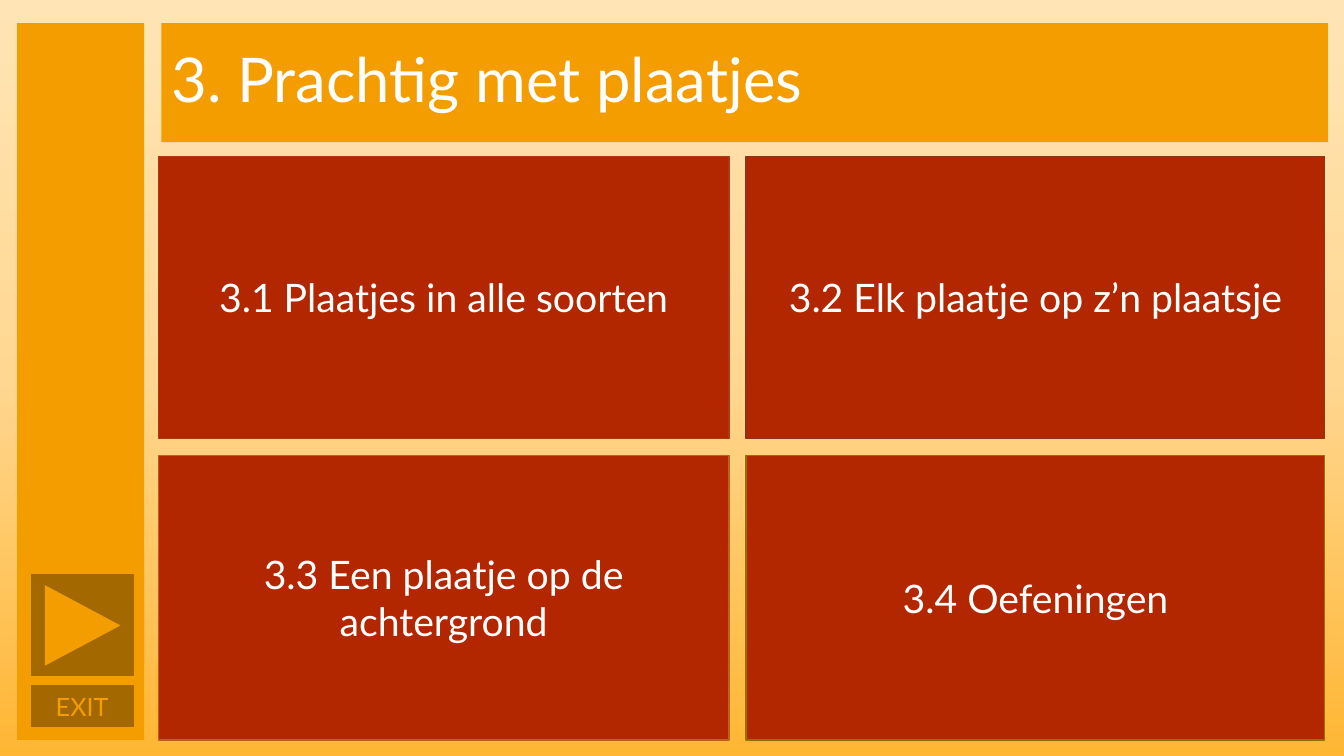
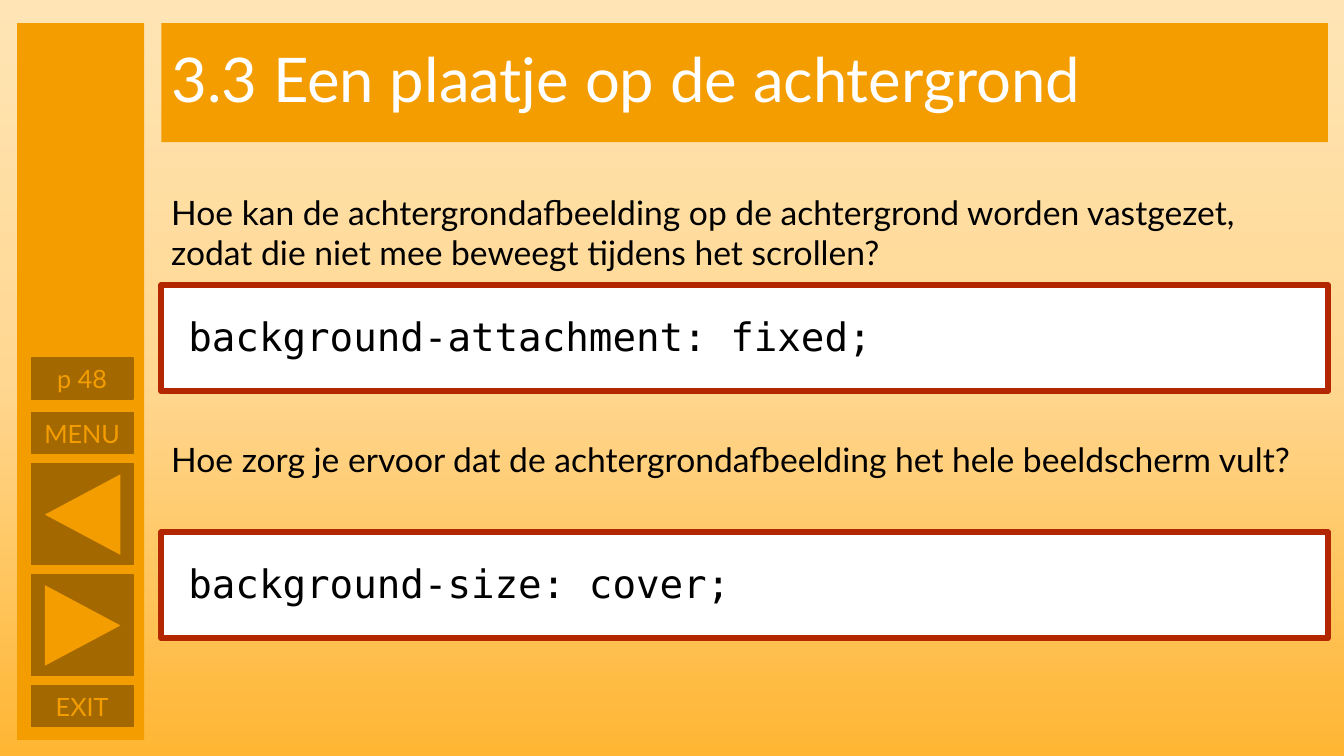
from copy import deepcopy
from itertools import product

from pptx import Presentation
from pptx import util as u
from pptx.dml.color import RGBColor
from pptx.enum import shapes, text

SANS, MONO = "Lato", "DejaVu Sans Mono"
ORANGE, BROWN, RED = "F49D00", "A36900", "B22600"
WHITE, BLACK = "FFFFFF", "000000"
BACKDROP = [(0, "FFE5B5"), (0.5, "FFD791"), (1, "FFB633")]

TOP, BOTTOM = 0.23, 7.34
BODY_X, BODY_W = 1.6, 11.57
NAV_X, NAV_W, NAV_LABEL_H = 0.31, 1.01, 0.41
NEXT_Y, NAV_PITCH = 5.7, 1.1
TILE_COLS = [(1.57, 5.66), (7.4, 5.74)]
TILE_ROWS = [(1.55, 2.8), (4.52, 2.82)]


def rgb(hex_color):
    return RGBColor.from_string(hex_color)


def inches(*lengths):
    return [u.Inches(length) for length in lengths]


def write(tf, words, size, color, font=SANS, align=text.PP_ALIGN.LEFT):
    tf.word_wrap = True
    p = tf.paragraphs[0]
    p.alignment = align
    r = p.add_run()
    r.text = words
    r.font.size = u.Pt(size)
    r.font.name = font
    r.font.color.rgb = rgb(color)
    return p


def add_box(s, at, fill, line=None, weight=1, kind=shapes.MSO_SHAPE.RECTANGLE):
    sp = s.shapes.add_shape(kind, *inches(*at))
    sp.shadow.inherit = False
    sp.fill.solid()
    sp.fill.fore_color.rgb = rgb(fill)
    if line:
        sp.line.color.rgb = rgb(line)
        sp.line.width = u.Pt(weight)
    else:
        sp.line.fill.background()
    return sp


def add_label_box(s, at, words, size, color, fill, line):
    tf = add_box(s, at, fill, line).text_frame
    tf.vertical_anchor = text.MSO_ANCHOR.MIDDLE
    write(tf, words, size, color, align=text.PP_ALIGN.CENTER)


def add_text(s, at, words, size, font=SANS):
    tf = s.shapes.add_textbox(*inches(*at)).text_frame
    write(tf, words, size, BLACK, font)
    tf.auto_size = text.MSO_AUTO_SIZE.SHAPE_TO_FIT_TEXT


def add_nav_label(s, y, words):
    add_label_box(s, (NAV_X, y, NAV_W, NAV_LABEL_H), words, 18, ORANGE, BROWN, BROWN)


def add_nav_arrow(s, y, rotation):
    add_box(s, (NAV_X, y, NAV_W, 1), BROWN, BROWN)
    arrow = add_box(s, (NAV_X + 0.11, y + 0.13, 0.8, 0.75), ORANGE,
                    kind=shapes.MSO_SHAPE.ISOSCELES_TRIANGLE)
    arrow.rotation = rotation


def add_question(s, y, question, answer):
    add_text(s, (BODY_X, y, BODY_W, 0.91), question, 24)
    answer_y = y + 0.98
    add_box(s, (BODY_X, answer_y, BODY_W, 1.05), WHITE, RED, 4.5)
    add_text(s, (BODY_X + 0.17, answer_y + 0.22, 11.23, 0.57), answer, 28, MONO)


def set_backdrop(master):
    fill = master.background.fill
    fill.gradient()
    fill.gradient_angle = 270
    stops = fill.gradient_stops
    first = stops[0]._gs
    first.addnext(deepcopy(first))
    for stop, (position, color) in zip(fill.gradient_stops, BACKDROP):
        stop.position = position
        stop.color.rgb = rgb(color)


def add_slide(prs, title):
    s = prs.slides.add_slide(prs.slide_layouts[5])
    sp = s.shapes.title
    sp.left, sp.top, sp.width, sp.height = inches(BODY_X, TOP, BODY_W, 1.18)
    sp.fill.solid()
    sp.fill.fore_color.rgb = rgb(ORANGE)
    tf = sp.text_frame
    tf.auto_size = text.MSO_AUTO_SIZE.NONE
    tf.vertical_anchor = text.MSO_ANCHOR.MIDDLE
    write(tf, title, 44, WHITE).line_spacing = 0.9
    add_box(s, (0.17, TOP, 1.26, BOTTOM - TOP), ORANGE)
    add_nav_label(s, 6.8, "EXIT")
    add_nav_arrow(s, NEXT_Y, 90)
    return s


def build_menu(prs):
    s = add_slide(prs, "3. Prachtig met plaatjes")
    tiles = [
        ("3.1 Plaatjes in alle soorten", "AC3819"),
        ("3.2 Elk plaatje op z’n plaatsje", "87361C"),
        ("3.3 Een plaatje op de achtergrond", "BD621D"),
        ("3.4 Oefeningen", "977100"),
    ]
    for (row, col), (words, line) in zip(product(TILE_ROWS, TILE_COLS), tiles):
        at = (col[0], row[0], col[1], row[1])
        add_label_box(s, at, words, 28, WHITE, RED, line)


def build_questions(prs):
    s = add_slide(prs, "3.3 Een plaatje op de achtergrond")
    add_nav_arrow(s, NEXT_Y - NAV_PITCH, 270)
    add_nav_label(s, 4.09, "MENU")
    add_nav_label(s, 3.55, "p 48")
    add_question(s, 1.85,
                 "Hoe kan de achtergrondafbeelding op de achtergrond worden vastgezet, "
                 "zodat die niet mee beweegt tijdens het scrollen?",
                 "background-attachment: fixed;")
    add_question(s, 4.3,
                 "Hoe zorg je ervoor dat de achtergrondafbeelding het hele beeldscherm vult?",
                 "background-size: cover;")


def main():
    prs = Presentation()
    prs.slide_width, prs.slide_height = inches(13.33, 7.5)
    set_backdrop(prs.slide_master)
    build_menu(prs)
    build_questions(prs)
    prs.save("out.pptx")


if __name__ == "__main__":
    main()
